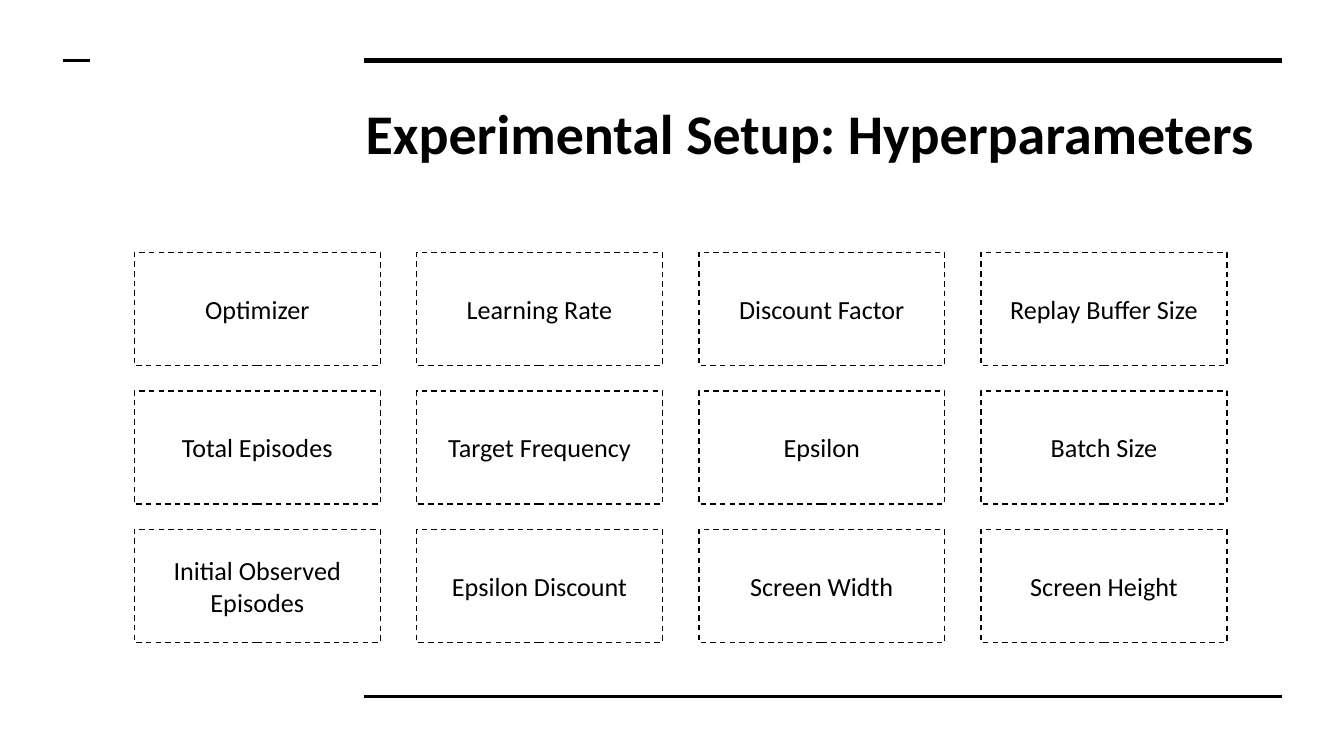
"""Build the hyperparameters slide: a title, three rules and a grid of dashed boxes."""
from dataclasses import dataclass

from lxml.etree import SubElement
from pptx import Presentation
from pptx.dml.color import RGBColor
from pptx.enum.dml import MSO_LINE
from pptx.enum.shapes import MSO_CONNECTOR, MSO_SHAPE
from pptx.enum.text import MSO_ANCHOR, PP_ALIGN
from pptx.oxml.ns import qn
from pptx.util import Inches, Pt


@dataclass(frozen=True)
class Theme:
    ink: RGBColor = RGBColor(0, 0, 0)
    font: str = "Calibri"
    title: int = 30
    label: int = 14


theme = Theme()


def write(shape, text, size, bold=False, align=PP_ALIGN.LEFT, anchor=MSO_ANCHOR.TOP):
    frame = shape.text_frame
    frame.word_wrap = True
    frame.vertical_anchor = anchor
    frame.margin_left = frame.margin_right = Inches(0.1)
    frame.margin_top = frame.margin_bottom = Inches(0.1)
    frame.text = text
    line = frame.paragraphs[0]
    line.alignment = align
    font = line.runs[0].font
    font.name, font.size, font.bold = theme.font, Pt(size), bold
    font.color.rgb = theme.ink


deck = Presentation()
deck.slide_width, deck.slide_height = Inches(10), Inches(10 * 9 / 16)
slide = deck.slides.add_slide(deck.slide_layouts[5])
shapes = slide.shapes

for left, right, y, weight in [(2.71, 9.54, 0.45, 3), (2.71, 9.54, 5.18, 1.5), (0.47, 0.67, 0.45, 1.5)]:
    rule = shapes.add_connector(MSO_CONNECTOR.STRAIGHT, Inches(left), Inches(y), Inches(right), Inches(y))
    rule.line.color.rgb = theme.ink
    rule.line.width = Pt(weight)
    SubElement(rule._element.spPr, qn("a:effectLst"))

title = shapes.title
title.left, title.top = Inches(2.62), Inches(0.63)
title.width, title.height = Inches(6.91), Inches(0.69)
write(title, "Experimental Setup: Hyperparameters", size=theme.title, bold=True)

labels = [
    ["Optimizer", "Learning Rate", "Discount Factor", "Replay Buffer Size"],
    ["Total Episodes", "Target Frequency", "Epsilon", "Batch Size"],
    ["Initial Observed Episodes", "Epsilon Discount", "Screen Width", "Screen Height"],
]
for row, names in enumerate(labels):
    for col, name in enumerate(names):
        box = shapes.add_shape(
            MSO_SHAPE.RECTANGLE,
            Inches(1 + 2.1 * col), Inches(1.88 + 1.03 * row),
            Inches(1.83), Inches(0.84),
        )
        box.shadow.inherit = False
        box.fill.background()
        box.line.color.rgb = theme.ink
        box.line.width = Pt(0.75)
        box.line.dash_style = MSO_LINE.DASH
        write(box, name, size=theme.label, align=PP_ALIGN.CENTER, anchor=MSO_ANCHOR.MIDDLE)

deck.save("out.pptx")
